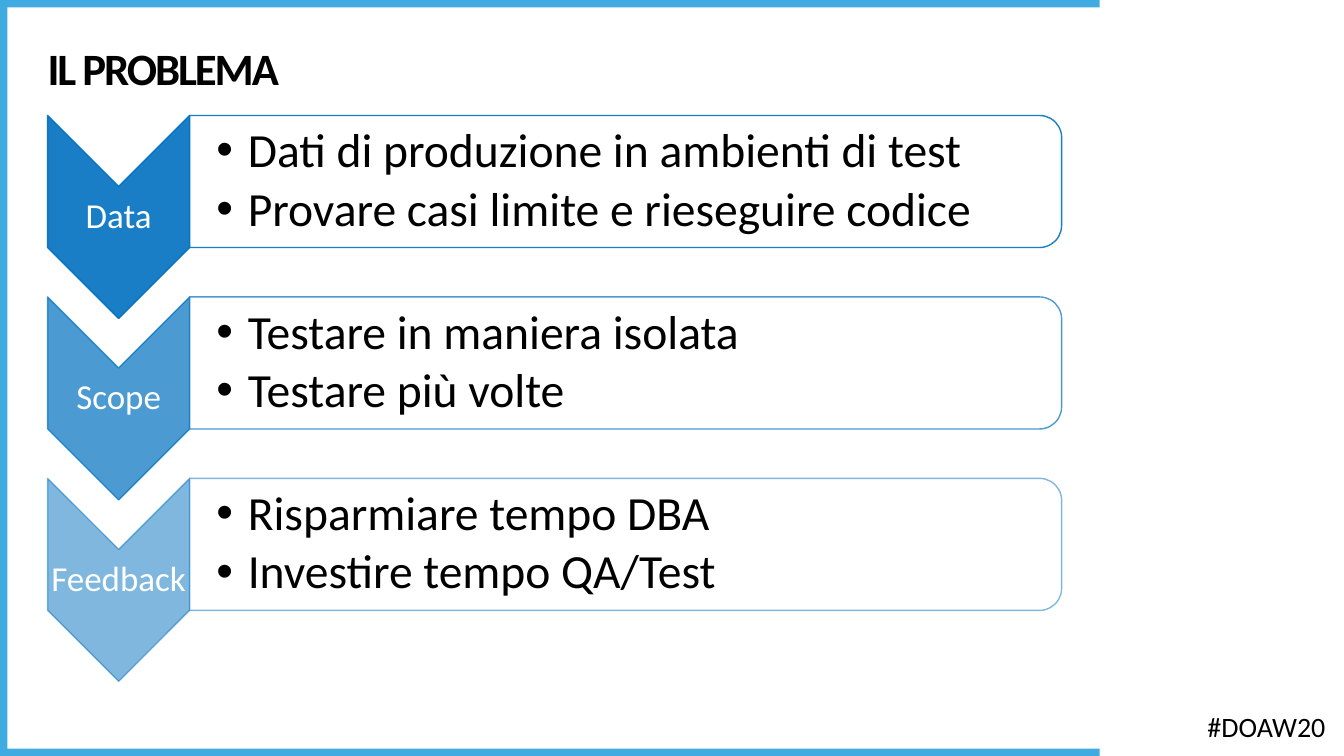
from dataclasses import dataclass

from lxml import etree
from pptx import Presentation
from pptx.dml.color import RGBColor
from pptx.enum import shapes, text
from pptx.oxml import ns
from pptx.util import Pt


@dataclass(frozen=True)
class Theme:
    font: str = "Calibri"
    frame: RGBColor = RGBColor(0x40, 0xAB, 0xE0)
    accent: RGBColor = RGBColor(0x00, 0x70, 0xC0)
    light: RGBColor = RGBColor(0xFF, 0xFF, 0xFF)
    dark: RGBColor = RGBColor(0x00, 0x00, 0x00)
    title: int = 32
    bullet: int = 34
    label: int = 25
    hashtag: int = 20


THEME = Theme()
SHAPE = shapes.MSO_SHAPE

# Layout in points
WIDTH, HEIGHT = 960, 540
FRAME_WIDTH, BAR = 785.5, 5.3
LEFT, FIRST_TOP, ROW_PITCH = 34, 82.5, 129.6
CHEVRON_WIDTH, CHEVRON_HEIGHT = 101.5, 145
PANEL_WIDTH, PANEL_HEIGHT = 622.8, 94.3

# Label, opacity in percent, points
ROWS = [
    ("Data", 90, ["Dati di produzione in ambienti di test",
                  "Provare casi limite e rieseguire codice"]),
    ("Scope", 70, ["Testare in maniera isolata", "Testare più volte"]),
    ("Feedback", 50, ["Risparmiare tempo DBA", "Investire tempo QA/Test"]),
]


def paint(fill, color, opacity=100):
    fill.solid()
    fill.fore_color.rgb = color
    if opacity < 100:
        srgb = fill._xPr.find(".//" + ns.qn("a:srgbClr"))
        etree.SubElement(srgb, ns.qn("a:alpha")).set("val", str(opacity * 1000))


def add_bar(slide, left, top, width, height):
    bar = slide.shapes.add_shape(SHAPE.RECTANGLE, Pt(left), Pt(top), Pt(width), Pt(height))
    bar.shadow.inherit = False
    paint(bar.fill, THEME.frame)
    bar.line.fill.background()


def add_turned(slide, preset, left, top, width, height, fill, fill_opacity, line_opacity):
    """Add a shape turned by 90 degrees that covers the given area."""
    x, y = left + (width - height) / 2, top + (height - width) / 2
    turned = slide.shapes.add_shape(preset, Pt(x), Pt(y), Pt(height), Pt(width))
    turned.rotation = 90
    turned.shadow.inherit = False
    paint(turned.fill, fill, fill_opacity)
    turned.line.width = Pt(1)
    paint(turned.line.fill, THEME.accent, line_opacity)


def add_text(slide, left, top, width, height, lines, size, color, margins=(0, 0, 0, 0),
             anchor=text.MSO_ANCHOR.MIDDLE, align=text.PP_ALIGN.LEFT, spacing=0.9, wrap=True):
    box = slide.shapes.add_textbox(Pt(left), Pt(top), Pt(width), Pt(height))
    frame = box.text_frame
    frame.text = "\n".join(lines)
    frame.word_wrap = wrap
    frame.vertical_anchor = anchor
    (frame.margin_left, frame.margin_top,
     frame.margin_right, frame.margin_bottom) = map(Pt, margins)
    for paragraph in frame.paragraphs:
        paragraph.alignment = align
        paragraph.line_spacing = spacing
        for run in paragraph.runs:
            run.font.name = THEME.font
            run.font.size = Pt(size)
            run.font.color.rgb = color
    return frame


def add_bullets(frame, indent, gap):
    for paragraph in frame.paragraphs:
        paragraph.level = 1
        paragraph.space_after = Pt(gap)
        properties = paragraph._p.get_or_add_pPr()
        properties.set("marL", str(Pt(indent)))
        properties.set("indent", str(-Pt(indent)))
        etree.SubElement(properties, ns.qn("a:buFont")).set("typeface", "Arial")
        etree.SubElement(properties, ns.qn("a:buChar")).set("char", "•")


def add_row(slide, top, label, opacity, points):
    panel_left = LEFT + CHEVRON_WIDTH
    add_turned(slide, SHAPE.CHEVRON, LEFT, top, CHEVRON_WIDTH, CHEVRON_HEIGHT,
               THEME.accent, opacity, opacity)
    add_text(slide, LEFT, top + CHEVRON_WIDTH / 2, CHEVRON_WIDTH,
             CHEVRON_HEIGHT - CHEVRON_WIDTH, [label], THEME.label, THEME.light,
             margins=(1.25,) * 4, align=text.PP_ALIGN.CENTER)
    add_turned(slide, SHAPE.ROUND_2_SAME_RECTANGLE, panel_left, top, PANEL_WIDTH,
               PANEL_HEIGHT, THEME.light, 90, opacity)
    bullets = add_text(slide, panel_left, top + 4.6, PANEL_WIDTH - 4.6, PANEL_HEIGHT - 9.2,
                       points, THEME.bullet, THEME.dark, margins=(19, 1.5, 1.5, 1.5))
    add_bullets(bullets, indent=22.5, gap=5)


def main():
    deck = Presentation()
    deck.slide_width, deck.slide_height = Pt(WIDTH), Pt(HEIGHT)
    slide = deck.slides.add_slide(deck.slide_layouts[6])

    # Frame
    add_bar(slide, 0, HEIGHT - BAR, FRAME_WIDTH, BAR)
    add_bar(slide, 0, 0, FRAME_WIDTH, BAR)
    add_bar(slide, 0, 0, BAR, HEIGHT)

    # Hashtag
    hashtag = add_text(slide, 855.4, 503.3, 99.4, 31.5, ["#DOAW20"], THEME.hashtag,
                       THEME.dark, margins=(7.2, 3.6, 7.2, 3.6),
                       anchor=text.MSO_ANCHOR.TOP, spacing=1.0, wrap=False)
    hashtag.auto_size = text.MSO_AUTO_SIZE.SHAPE_TO_FIT_TEXT

    # Title
    title = add_text(slide, LEFT, 34, 724.3, 34, ["IL PROBLEMA"], THEME.title, THEME.dark)
    title_run = title.paragraphs[0].runs[0]
    title_run.font.bold = True
    title_run._r.get_or_add_rPr().set("spc", "-150")

    # Problem rows
    for index, (label, opacity, points) in enumerate(ROWS):
        add_row(slide, FIRST_TOP + index * ROW_PITCH, label, opacity, points)

    deck.save("out.pptx")


if __name__ == "__main__":
    main()
